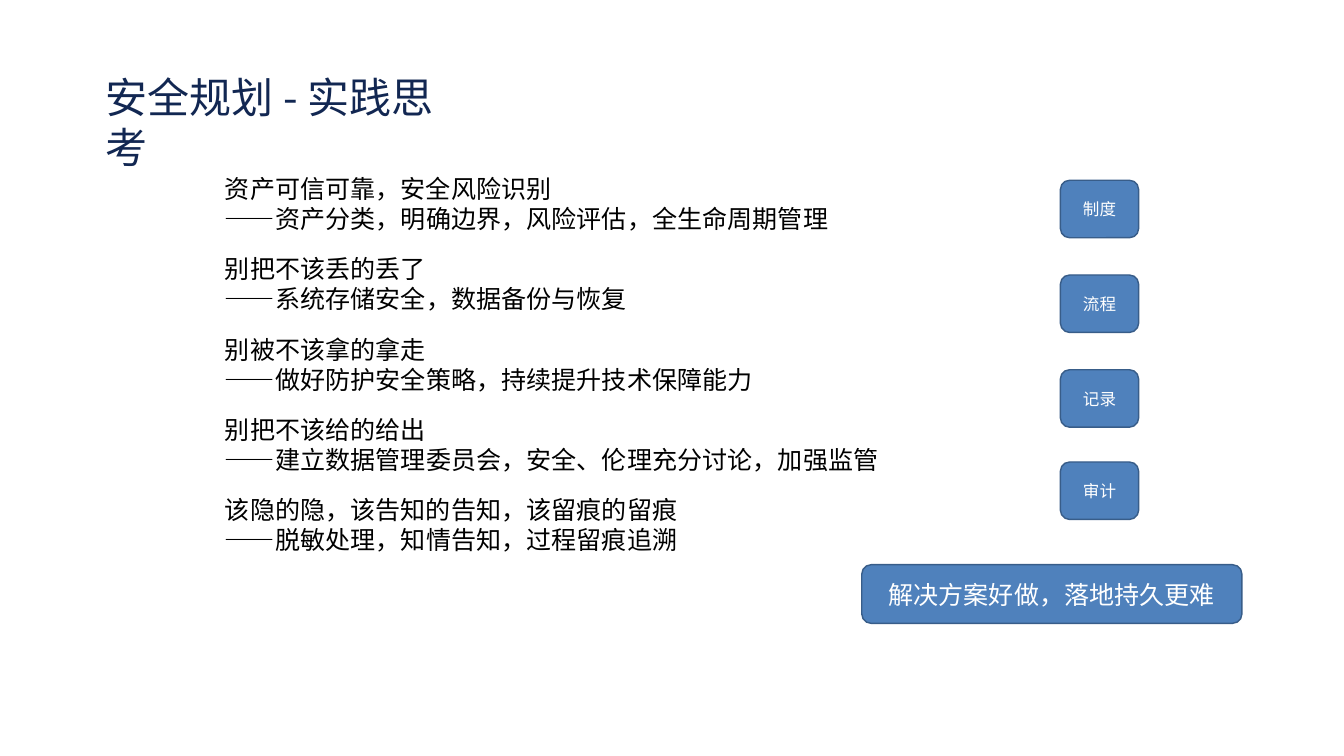
from dataclasses import dataclass

from pptx import Presentation
from pptx.dml.color import RGBColor
from pptx.enum.shapes import MSO_SHAPE
from pptx.enum.text import MSO_ANCHOR, PP_ALIGN
from pptx.oxml.ns import qn
from pptx.util import Inches, Pt

ROUNDED = MSO_SHAPE.ROUNDED_RECTANGLE
TOP, MIDDLE = MSO_ANCHOR.TOP, MSO_ANCHOR.MIDDLE
LEFT, CENTER = PP_ALIGN.LEFT, PP_ALIGN.CENTER


@dataclass(frozen=True)
class Theme:
    font: str = "Noto Sans CJK SC"
    navy: RGBColor = RGBColor(0x12, 0x27, 0x52)
    black: RGBColor = RGBColor(0, 0, 0)
    white: RGBColor = RGBColor(255, 255, 255)
    fill: RGBColor = RGBColor(0x4F, 0x81, 0xBC)
    outline: RGBColor = RGBColor(0x38, 0x5D, 0x89)
    title_size: float = 49.5
    body_size: float = 29.5
    label_size: float = 19.5


theme = Theme()


def write(shape, lines, size, color, anchor, align, pitch=None, gap=0):
    frame = shape.text_frame
    frame_format = {
        "text": "\n".join(lines), "word_wrap": True, "vertical_anchor": anchor,
        "margin_left": 0, "margin_right": 0, "margin_top": 0, "margin_bottom": 0,
    }
    for name, value in frame_format.items():
        setattr(frame, name, value)
    for index, paragraph in enumerate(frame.paragraphs):
        paragraph_format = {
            "alignment": align,
            "line_spacing": Pt(pitch) if pitch else 1.0,
            "space_before": Pt(gap if index and index % 2 == 0 else 0),
        }
        for name, value in paragraph_format.items():
            setattr(paragraph, name, value)
        for run in paragraph.runs:
            for name, value in {"name": theme.font, "size": Pt(size), "bold": False}.items():
                setattr(run.font, name, value)
            run.font.color.rgb = color
            properties = run.font._element
            properties.set("spc", "10")
            east_asian = properties.makeelement(qn("a:ea"), {"typeface": theme.font})
            properties.find(qn("a:latin")).addnext(east_asian)


def add_button(label, left, top, width, height, size):
    button = slide.shapes.add_shape(
        ROUNDED, Inches(left), Inches(top), Inches(width), Inches(height))
    button.adjustments[0] = 0.16
    button.shadow.inherit = False
    button.fill.solid()
    button.fill.fore_color.rgb = theme.fill
    button.line.color.rgb = theme.outline
    button.line.width = Pt(1.68)
    write(button, [label], size, theme.white, MIDDLE, CENTER)


deck = Presentation()
deck.slide_width, deck.slide_height = Inches(21.99), Inches(12.37)
slide = deck.slides.add_slide(deck.slide_layouts[5])

heading = slide.shapes.title
heading_place = {"left": 1.73, "top": 1.18, "width": 5.79, "height": 1.64}
for side, length in heading_place.items():
    setattr(heading, side, Inches(length))
write(heading, ["安全规划 - 实践思考"], theme.title_size, theme.navy, TOP, LEFT, pitch=58.9)

principles = [
    ("资产可信可靠，安全风险识别", "资产分类，明确边界，风险评估，全生命周期管理"),
    ("别把不该丢的丢了", "系统存储安全，数据备份与恢复"),
    ("别被不该拿的拿走", "做好防护安全策略，持续提升技术保障能力"),
    ("别把不该给的给出", "建立数据管理委员会，安全、伦理充分讨论，加强监管"),
    ("该隐的隐，该告知的告知，该留痕的留痕", "脱敏处理，知情告知，过程留痕追溯"),
]
principle_lines = []
for principle, measure in principles:
    principle_lines += [principle, "——" + measure]
practice = slide.shapes.add_textbox(Inches(3.68), Inches(2.84), Inches(10.82), Inches(6.89))
write(practice, principle_lines, theme.body_size, theme.black, TOP, LEFT, pitch=35.3, gap=24)

control_tops = {"制度": 2.95, "流程": 4.5, "记录": 6.05, "审计": 7.56}
for control, control_top in control_tops.items():
    add_button(control, 17.35, control_top, 1.28, 0.94, theme.label_size)
add_button("解决方案好做，落地持久更难", 14.1, 9.24, 6.22, 0.96, theme.body_size)

deck.save("out.pptx")
